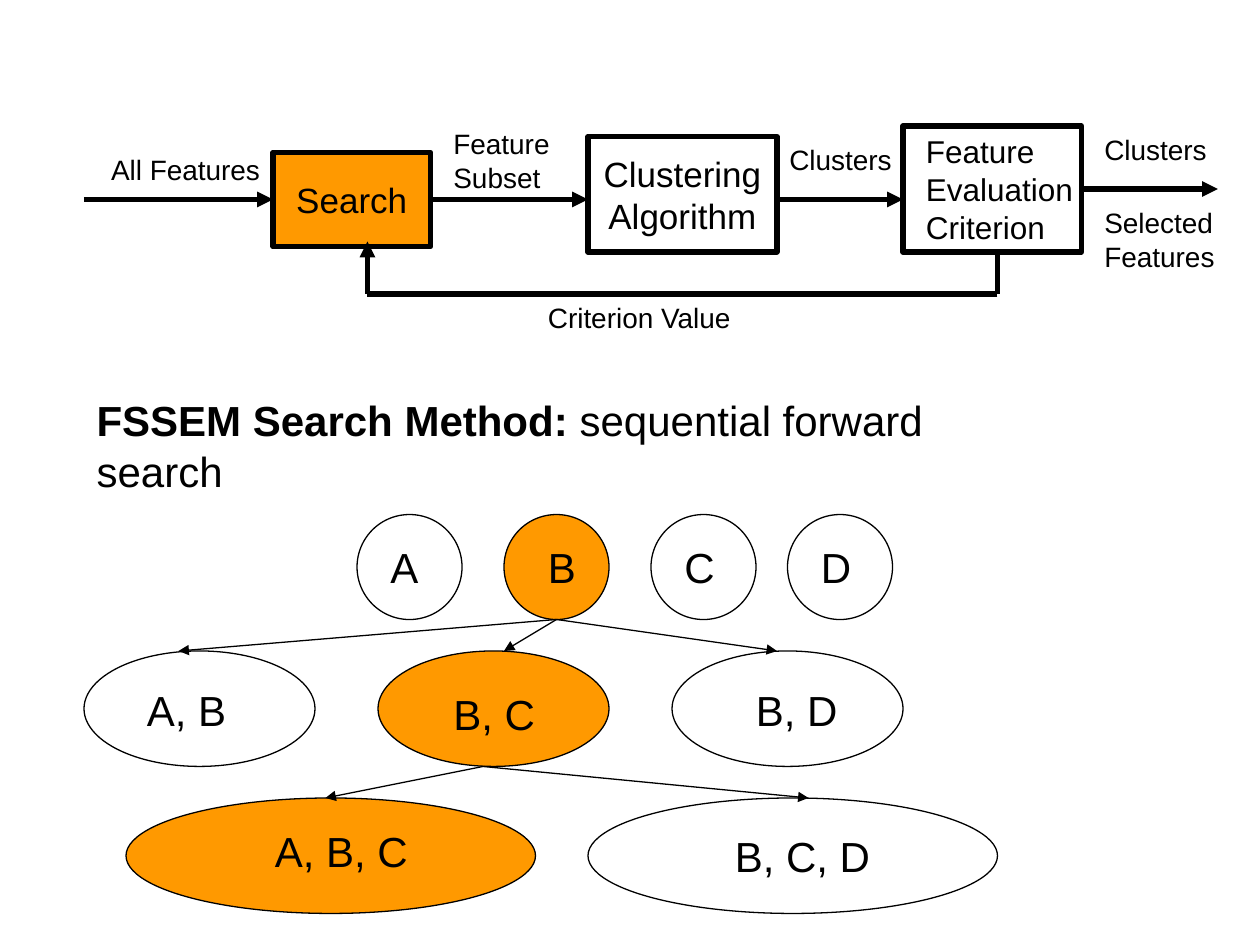
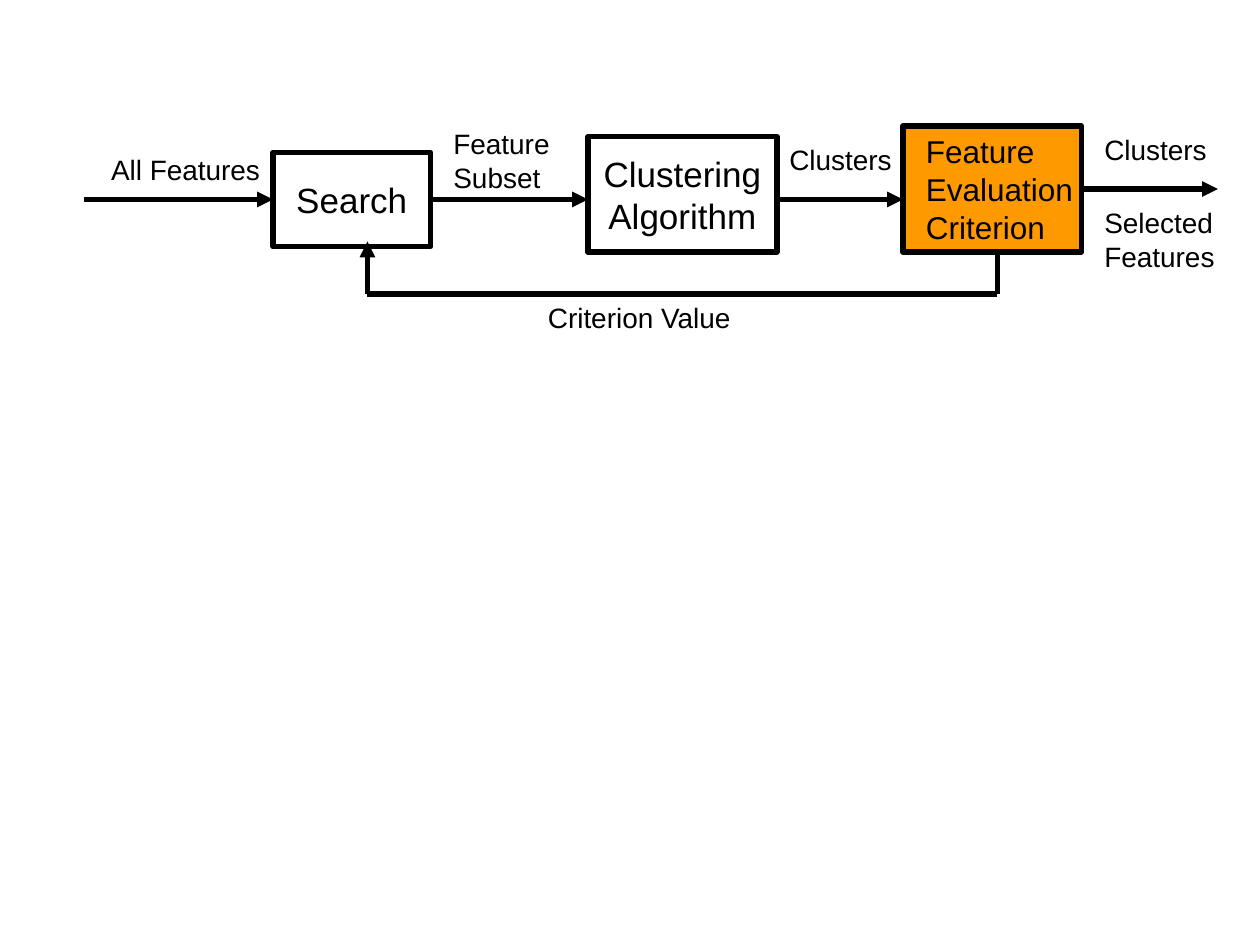
from dataclasses import dataclass

from lxml.etree import SubElement
from pptx import Presentation
from pptx.dml.color import RGBColor
from pptx.enum.shapes import MSO_CONNECTOR, MSO_SHAPE
from pptx.enum.text import MSO_ANCHOR, MSO_AUTO_SIZE, PP_ALIGN
from pptx.oxml.ns import qn
from pptx.util import Emu, Pt

EMU_PER_PX = 7620
TOP, LEFT, BOTTOM, RIGHT = range(4)
TITLE_ONLY, BLANK = 5, 6


def px(n):
    return Emu(n * EMU_PER_PX)


@dataclass(frozen=True)
class Theme:
    font: str = "Arial"
    ink: RGBColor = RGBColor(0x00, 0x00, 0x00)
    accent: RGBColor = RGBColor(0xFF, 0x99, 0x00)
    large: int = 24
    box: int = 20
    criterion: int = 18
    label: int = 16
    thick: float = 3
    thin: float = 0.75


class Deck:
    def __init__(self, theme):
        self.theme = theme
        self.prs = Presentation()
        self.prs.slide_width, self.prs.slide_height = px(1200), px(900)
        self.s = None

    def slide(self, layout):
        self.s = self.prs.slides.add_slide(self.prs.slide_layouts[layout])

    def style(self, p, size, align=PP_ALIGN.LEFT):
        p.alignment = align
        p.font.name = self.theme.font
        p.font.size = Pt(size)
        p.font.color.rgb = self.theme.ink

    def fill_text(self, tf, text, size, align=PP_ALIGN.LEFT):
        tf.word_wrap = False
        for i, line in enumerate(text.split("\n")):
            p = tf.add_paragraph() if i else tf.paragraphs[0]
            p.add_run().text = line
            self.style(p, size, align)

    def title(self, lead, rest, x, y, w, h):
        sp = self.s.shapes.title
        sp.left, sp.top, sp.width, sp.height = map(px, (x, y, w, h))
        tf = sp.text_frame
        tf.word_wrap = False
        tf.auto_size = MSO_AUTO_SIZE.NONE
        tf.vertical_anchor = MSO_ANCHOR.TOP
        p = tf.paragraphs[0]
        for text, bold in ((lead, True), (rest, False)):
            r = p.add_run()
            r.text, r.font.bold = text, bold
        self.style(p, self.theme.large)

    def text(self, text, x, y, w, h, size):
        sp = self.s.shapes.add_textbox(*map(px, (x, y, w, h)))
        self.fill_text(sp.text_frame, text, size)
        sp.text_frame.auto_size = MSO_AUTO_SIZE.SHAPE_TO_FIT_TEXT

    def shape(self, kind, x, y, w, h, weight, active=False):
        sp = self.s.shapes.add_shape(kind, *map(px, (x, y, w, h)))
        sp.shadow.inherit = False
        if active:
            sp.fill.solid()
            sp.fill.fore_color.rgb = self.theme.accent
        else:
            sp.fill.background()
        sp.line.color.rgb = self.theme.ink
        sp.line.width = Pt(weight)
        return sp

    def box(self, x, y, w, h, active, text=""):
        sp = self.shape(MSO_SHAPE.RECTANGLE, x, y, w, h, self.theme.thick, active)
        if text:
            self.fill_text(sp.text_frame, text, self.theme.box, PP_ALIGN.CENTER)
            sp.text_frame.vertical_anchor = MSO_ANCHOR.MIDDLE
        return sp

    def line(self, start, end, weight, arrow=True, begin=None, finish=None):
        c = self.s.shapes.add_connector(MSO_CONNECTOR.STRAIGHT, *map(px, (*start, *end)))
        c.line.color.rgb = self.theme.ink
        c.line.width = Pt(weight)
        props = c.element.spPr
        if arrow:
            SubElement(props.find(qn("a:ln")), qn("a:tailEnd"), type="triangle")
        SubElement(props, qn("a:effectLst"))
        if begin:
            c.begin_connect(*begin)
        if finish:
            c.end_connect(*finish)


def feature_selection_flow(deck, active):
    t = deck.theme
    search = deck.box(260, 145, 150, 90, active == "Search", "Search")
    deck.box(560, 130, 180, 110, False, "Clustering\nAlgorithm")
    criterion = deck.box(860, 120, 170, 120, active == "Criterion")
    deck.text("Feature\nEvaluation\nCriterion", 870, 120, 164, 120, t.criterion)

    for text, x, y, w, h in (
        ("All Features", 94, 139, 167, 44),
        ("Feature\nSubset", 420, 115, 116, 77),
        ("Clusters", 740, 130, 122, 44),
        ("Criterion Value", 510, 280, 200, 44),
        ("Clusters", 1040, 120, 122, 44),
        ("Selected\nFeatures", 1040, 190, 130, 77),
    ):
        deck.text(text, x, y, w, h, t.label)

    deck.line((80, 190), (260, 190), t.thick, finish=(search, LEFT))
    deck.line((410, 190), (560, 190), t.thick, begin=(search, RIGHT))
    deck.line((740, 190), (860, 190), t.thick)
    deck.line((1030, 180), (1160, 180), t.thick, begin=(criterion, RIGHT))

    feedback = [(950, 240), (950, 280), (350, 280), (350, 230)]
    for start, end in zip(feedback, feedback[1:]):
        deck.line(start, end, t.thick, arrow=end == feedback[-1])


def search_tree(deck):
    t = deck.theme
    levels = (
        (490, 100, 100, (("A", 340, 360, 510, 50), ("B", 480, 510, 510, 50),
                         ("C", 620, 640, 510, 53), ("D", 750, 770, 510, 53))),
        (620, 220, 110, (("A, B", 80, 128, 646, 100), ("B, C", 360, 420, 650, 102),
                         ("B, D", 640, 708, 646, 102))),
        (760, 390, 110, (("A, B, C", 120, 250, 780, 151),
                         ("B, C, D", 560, 688, 785, 154))),
    )
    chosen = {"B", "B, C", "A, B, C"}
    for y, w, h, nodes in levels:
        for text, x, text_x, text_y, text_w in nodes:
            deck.shape(MSO_SHAPE.OVAL, x, y, w, h, t.thin, text in chosen)
            deck.text(text, text_x, text_y, text_w, 60, t.large)

    for parent, child_y, children in (
        ((530, 590), 620, (170, 480, 740)),
        ((460, 730), 760, (310, 770)),
    ):
        for x in children:
            deck.line(parent, (x, child_y), t.thin)


def main():
    deck = Deck(Theme())

    deck.slide(TITLE_ONLY)
    deck.title("FSSEM Search Method:", " sequential forward search", 80, 370, 942, 60)
    feature_selection_flow(deck, "Search")
    search_tree(deck)

    deck.slide(BLANK)
    feature_selection_flow(deck, "Criterion")

    deck.prs.save("out.pptx")


if __name__ == "__main__":
    main()
